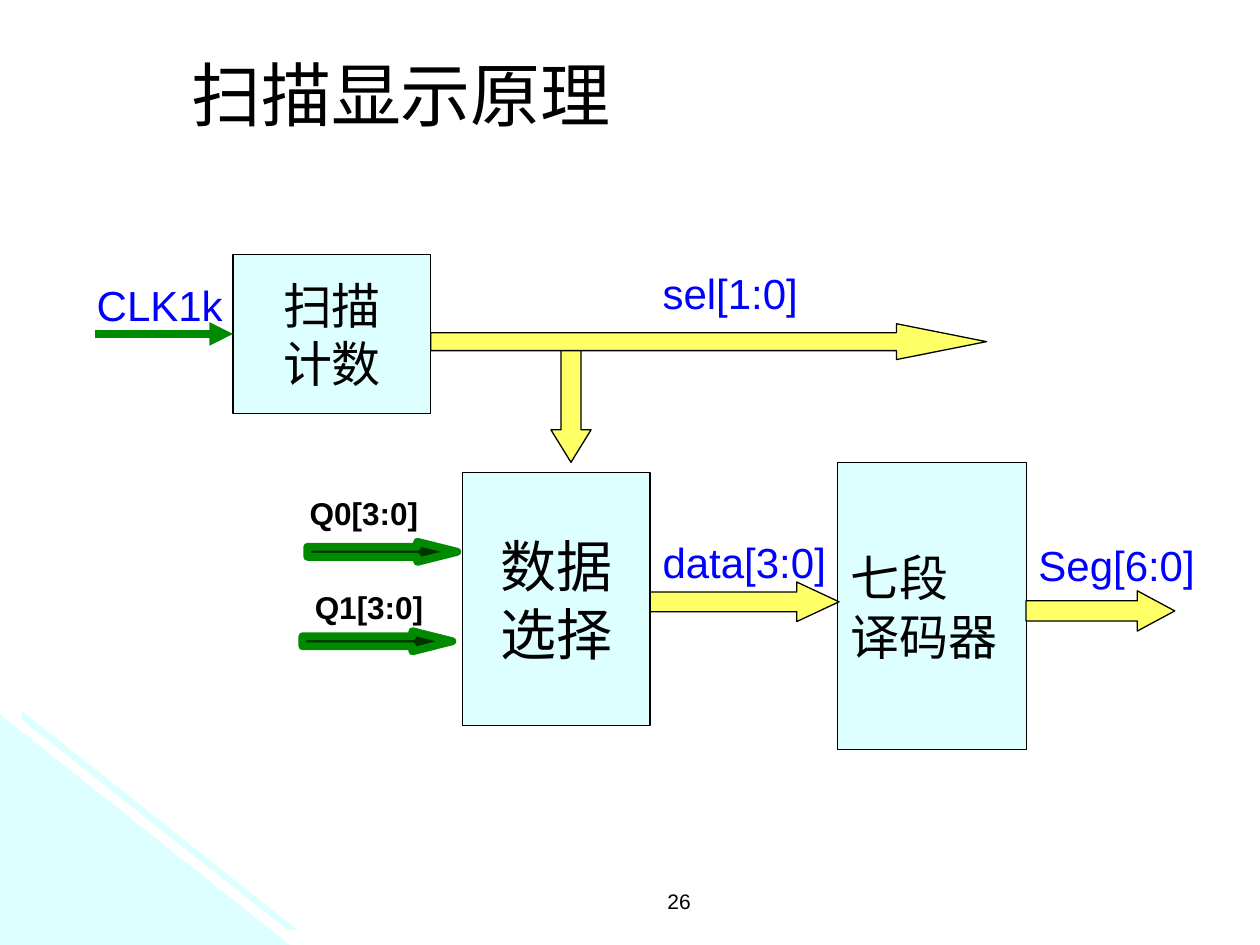
import pptx
import pptx.util
import pptx.dml.color
import pptx.enum.shapes
import pptx.enum.text
import pptx.oxml
import pptx.oxml.ns
import lxml.etree

Pt = pptx.util.Pt
RGBColor = pptx.dml.color.RGBColor
Shape = pptx.enum.shapes.MSO_SHAPE
Align = pptx.enum.text.PP_ALIGN
Anchor = pptx.enum.text.MSO_ANCHOR

BLACK = RGBColor(0x00, 0x00, 0x00)
BLUE = RGBColor(0x00, 0x00, 0xFF)
PALE_CYAN = RGBColor(0xDD, 0xFF, 0xFF)
YELLOW = RGBColor(0xFF, 0xFF, 0x66)
GREEN = RGBColor(0x00, 0x8A, 0x00)
DARK_GREEN = RGBColor(0x00, 0x33, 0x00)


def write_lines(frame, text, size, color=BLACK, align=Align.LEFT, font="Arial", bold=False):
    frame.text = text
    for para in frame.paragraphs:
        para.alignment = align
        for span in para.runs:
            span.font.name = font
            span.font.size = Pt(size)
            span.font.bold = bold
            span.font.color.rgb = color


def add_label(page, box, text, size, anchor=Anchor.TOP, **style):
    frame = page.shapes.add_textbox(*map(Pt, box)).text_frame
    frame.word_wrap = True
    frame.vertical_anchor = anchor
    write_lines(frame, text, size, **style)


def add_outlined(page, kind, box, fill, line=BLACK, width=0.75):
    shape = page.shapes.add_shape(kind, *map(Pt, box))
    shape.shadow.inherit = False
    shape.fill.solid()
    shape.fill.fore_color.rgb = fill
    shape.line.color.rgb = line
    shape.line.width = Pt(width)
    return shape


def add_block(page, box, text, size, align=Align.CENTER):
    block = add_outlined(page, Shape.RECTANGLE, box, PALE_CYAN)
    block.text_frame.word_wrap = False
    block.text_frame.vertical_anchor = Anchor.MIDDLE
    write_lines(block.text_frame, text, size, align=align)
    return block


def add_bus(page, kind, box, head, **style):
    """Block arrow; head is the head length relative to the arrow's thickness."""
    bus = add_outlined(page, kind, box, **style)
    bus.adjustments[0] = 0.5
    bus.adjustments[1] = head


def add_clock_line(page, left, top, block):
    line = page.shapes.add_connector(
        pptx.enum.shapes.MSO_CONNECTOR.STRAIGHT, Pt(left), Pt(top), block.left, Pt(top))
    line.end_connect(block, 1)
    line.line.color.rgb = GREEN
    line.line.width = Pt(4.5)
    outline = line.line._get_or_add_ln()
    lxml.etree.SubElement(outline, pptx.oxml.ns.qn("a:tailEnd"), type="triangle")
    properties = line._element.spPr
    lxml.etree.SubElement(properties, pptx.oxml.ns.qn("a:effectLst"))


def add_corner(page, left, top, width, height):
    """Pale triangle in the corner with a thin stripe along its slope."""
    right, bottom = left + width, top + height
    builder = page.shapes.build_freeform(Pt(left), Pt(top + 2.2))
    builder.add_line_segments([(Pt(right - 4.3), Pt(bottom)), (Pt(left), Pt(bottom))])
    builder.move_to(Pt(left + 12.2), Pt(top))
    builder.add_line_segments([
        (Pt(right), Pt(bottom - 8.6)),
        (Pt(right - 5.8), Pt(bottom - 8.6)),
        (Pt(left + 12.2), Pt(top + 5)),
    ])
    corner = builder.convert_to_shape()
    corner.shadow.inherit = False
    corner.fill.solid()
    corner.fill.fore_color.rgb = PALE_CYAN
    corner.line.fill.background()


def add_diagram(page, left, top):
    """Scan display circuit; all parts are placed from its top left corner."""
    def at(x, y, width, height):
        return left + x, top + y, width, height

    counter = add_block(page, at(85, 0, 113, 90.8), "扫描\n计数", 28)
    add_clock_line(page, left + 5.8, top + 45.4, counter)
    add_block(page, at(430.6, 118.8, 108, 164.2), "七段\n译码器", 28, Align.LEFT)

    buses = [
        (Shape.RIGHT_ARROW, (323.3, 187.2, 108, 22.6), 1.07),
        (Shape.RIGHT_ARROW, (538.1, 192.2, 85, 23), 0.93),
        (Shape.DOWN_ARROW, (266.6, 45.4, 23, 73.4), 0.81),
        (Shape.RIGHT_ARROW, (198, 39.6, 317.5, 20.5), 2.51),
    ]
    for kind, box, head in buses:
        add_bus(page, kind, at(*box), head, fill=YELLOW)

    signals = [
        ("CLK1k", (0, 10.8, 90.7, 36)),
        ("sel[1:0]", (323.3, 4.2, 118.8, 36)),
        ("data[3:0]", (323.3, 157.7, 118.8, 36)),
        ("Seg[6:0]", (538.1, 159.1, 118.8, 36)),
    ]
    for text, box in signals:
        add_label(page, at(*box), text, 24, color=BLUE)

    add_block(page, at(216, 124.6, 107.3, 144.7), "数据\n选择", 32)
    inputs = [
        ("Q0[3:0]", (121.7, 133.2), (127.4, 164.2)),
        ("Q1[3:0]", (124.6, 187.2), (124.6, 215.3)),
    ]
    for text, label, arrow in inputs:
        add_bus(page, Shape.RIGHT_ARROW, at(*arrow, 85.7, 11.5), 1.99,
                fill=DARK_GREEN, line=GREEN, width=4.5)
        add_label(page, at(*label, 85.7, 28.8), text, 18, bold=True)


def main():
    deck = pptx.Presentation()
    deck.slide_width, deck.slide_height = Pt(720), Pt(540)
    page = deck.slides.add_slide(deck.slide_layouts[6])
    add_corner(page, 0, 406, 170, 134)
    add_label(page, (234, 504, 167.8, 18), "26", 12, align=Align.RIGHT)
    add_label(page, (102.2, 18.7, 393.8, 69.8), "扫描显示原理", 40,
              anchor=Anchor.MIDDLE, font="Karla")
    add_diagram(page, 48.2, 145.4)
    deck.save("out.pptx")


if __name__ == "__main__":
    main()
